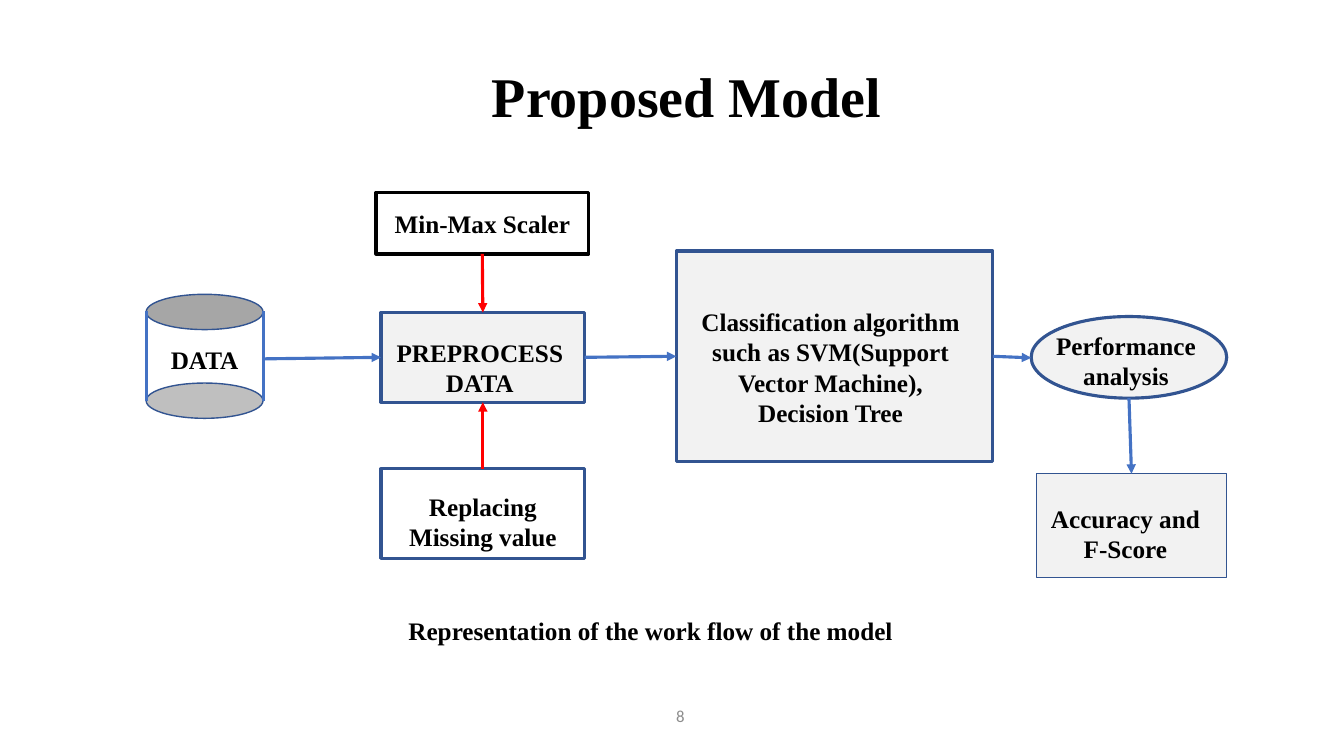
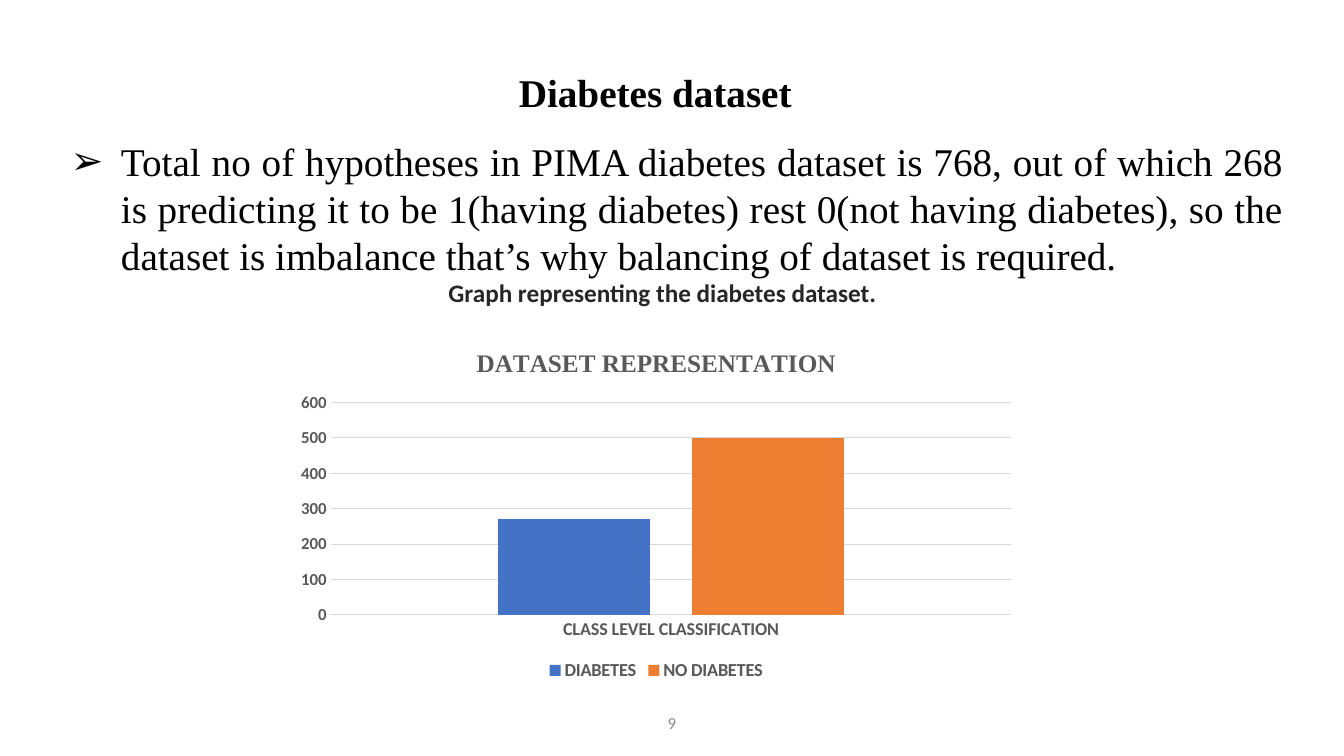
from lxml import etree
from pptx import Presentation
from pptx.chart.data import CategoryChartData
from pptx.dml.color import RGBColor
from pptx.enum.chart import XL_CHART_TYPE, XL_LEGEND_POSITION, XL_TICK_MARK
from pptx.enum.shapes import MSO_CONNECTOR, MSO_SHAPE
from pptx.enum.text import MSO_ANCHOR, MSO_AUTO_SIZE, PP_ALIGN
from pptx.oxml.ns import qn
from pptx.util import Inches, Pt

RECT, OVAL = MSO_SHAPE.RECTANGLE, MSO_SHAPE.OVAL
STRAIGHT = MSO_CONNECTOR.STRAIGHT
COLUMNS = XL_CHART_TYPE.COLUMN_CLUSTERED
LEGEND_BOTTOM = XL_LEGEND_POSITION.BOTTOM
NO_TICK = XL_TICK_MARK.NONE
TOP, MIDDLE = MSO_ANCHOR.TOP, MSO_ANCHOR.MIDDLE
FIXED_SIZE = MSO_AUTO_SIZE.NONE
LEFT, CENTER, JUSTIFY = PP_ALIGN.LEFT, PP_ALIGN.CENTER, PP_ALIGN.JUSTIFY
SIDE_TOP, SIDE_LEFT, SIDE_BOTTOM, SIDE_RIGHT = range(4)
TITLE_ONLY, TITLE_AND_BODY = 5, 1

SERIF, SANS = "Times New Roman", "Calibri"
BLACK, WHITE, INK = "000000", "FFFFFF", "262626"
PALE, SILVER, STEEL = "F2F2F2", "BFBFBF", "A6A6A6"
NAVY, BLUE, RED, ORANGE = "325491", "4472C4", "FF0000", "ED7D31"
AXIS_TEXT, GRID_LINE, PAGE_GRAY = "595959", "D9D9D9", "8C8C8C"


def rgb(hex_code):
    return RGBColor.from_string(hex_code)


def cells(*counts):
    return [Inches(count / 10) for count in counts]


def set_font(font, size, color, bold=True, name=SERIF):
    font.name, font.size, font.bold = name, Pt(size), bold
    font.color.rgb = rgb(color)


def set_line(line, color, width):
    line.color.rgb = rgb(color)
    line.width = Pt(width)


class Deck:
    def __init__(self):
        self.prs = Presentation()
        self.prs.slide_width, self.prs.slide_height = cells(133.33, 75)
        self.slide = None

    def new_slide(self, layout, title, title_box, title_size):
        self.slide = self.prs.slides.add_slide(self.prs.slide_layouts[layout])
        self.fill_placeholder(self.slide.shapes.title, title, title_box,
                              MIDDLE, size=title_size)

    def fill_placeholder(self, holder, text, box, anchor, **style):
        holder.left, holder.top, holder.width, holder.height = cells(*box)
        holder.text_frame.auto_size = FIXED_SIZE
        self.set_text(holder.text_frame, text, anchor, **style)

    def set_text(self, frame, text, anchor=TOP, align=CENTER, size=18,
                 color=BLACK, bold=True, font=SERIF):
        frame.text = text
        frame.word_wrap = True
        frame.vertical_anchor = anchor
        for paragraph in frame.paragraphs:
            paragraph.alignment = align
            paragraph.space_before = Pt(0)
            set_font(paragraph.font, size, color, bold, font)

    def label(self, text, box, **style):
        holder = self.slide.shapes.add_textbox(*cells(*box))
        self.set_text(holder.text_frame, text, **style)

    def page_number(self, number, box):
        self.label(number, box, anchor=MIDDLE, size=12, color=PAGE_GRAY,
                   bold=False, font=SANS)

    def node(self, kind, box, fill=PALE, border=NAVY, width=2.25,
             text=None, insets=(1, 0, 1)):
        shape = self.slide.shapes.add_shape(kind, *cells(*box))
        shape.shadow.inherit = False
        shape.fill.solid()
        shape.fill.fore_color.rgb = rgb(fill)
        set_line(shape.line, border, width)
        if text:
            frame = shape.text_frame
            self.set_text(frame, text, MIDDLE)
            frame.margin_left, frame.margin_top, frame.margin_right = cells(*insets)
            frame.margin_bottom = 0
        return shape

    def line(self, start=(0, 0), end=(0, 0), color=BLUE, start_joint=None,
             end_joint=None, arrow=True):
        link = self.slide.shapes.add_connector(STRAIGHT, *cells(*start, *end))
        if start_joint:
            link.begin_connect(*start_joint)
        if end_joint:
            link.end_connect(*end_joint)
        set_line(link.line, color, 2.25)
        if arrow:
            outline = link._element.spPr.find(qn("a:ln"))
            etree.SubElement(outline, qn("a:tailEnd"), type="triangle")
        etree.SubElement(link._element.spPr, qn("a:effectLst"))

    def bullets(self, text, box, mark, indent, **style):
        body = self.slide.placeholders[1]
        self.fill_placeholder(body, text, box, TOP, **style)
        for paragraph in body.text_frame.paragraphs:
            props = paragraph._p.get_or_add_pPr()
            hang = cells(indent)[0]
            props.set("marL", str(hang))
            props.set("indent", str(-hang))
            etree.SubElement(props, qn("a:buFont"), typeface="Arial")
            etree.SubElement(props, qn("a:buChar"), char=mark)
            props.append(props.find(qn("a:defRPr")))

    def column_chart(self, title, category, series, box):
        data = CategoryChartData()
        data.categories = [category]
        for name, value, _ in series:
            data.add_series(name, [value])
        chart = self.slide.shapes.add_chart(COLUMNS, *cells(*box), data).chart
        set_font(chart.font, 10, BLACK, False, SANS)

        chart.has_title = True
        heading = chart.chart_title.text_frame
        heading.text = title
        set_font(heading.paragraphs[0].font, 18, AXIS_TEXT)
        chart.has_legend = True
        chart.legend.position = LEGEND_BOTTOM
        chart.legend.include_in_layout = False
        set_font(chart.legend.font, 13.1, AXIS_TEXT, name=SANS)

        classes, counts = chart.category_axis, chart.value_axis
        for axis, size in ((classes, 12.9), (counts, 12)):
            axis.major_tick_mark = axis.minor_tick_mark = NO_TICK
            set_font(axis.tick_labels.font, size, AXIS_TEXT, name=SANS)
        set_line(classes.format.line, GRID_LINE, 0.75)
        counts.format.line.fill.background()
        set_line(counts.major_gridlines.format.line, GRID_LINE, 0.75)
        counts.minimum_scale, counts.maximum_scale, counts.major_unit = 0, 600, 100

        plot = chart.plots[0]
        plot.gap_width, plot.overlap, plot.vary_by_categories = 219, -27, False
        for bars, (_, _, color) in zip(plot.series, series):
            bars.format.fill.solid()
            bars.format.fill.fore_color.rgb = rgb(color)


def proposed_model(deck):
    deck.new_slide(TITLE_ONLY, "Proposed Model", (28, 5.6, 80.2, 7.7), 40)
    deck.page_number("8", (52.5, 69, 30, 4))

    scaler = deck.node(RECT, (37.3, 19.1, 21.1, 6.1), WHITE, BLACK,
                       text="Min-Max Scaler")
    missing = deck.node(RECT, (37.8, 46.5, 20.2, 8.9), WHITE,
                        text="Replacing Missing value", insets=(1, 1.6, 1))
    preprocess = deck.node(RECT, (37.8, 31, 20.2, 8.9),
                           text="PREPROCESS DATA", insets=(0.7, 2, 1.3))
    classifier = deck.node(
        RECT, (67.1, 24.9, 31.4, 20.9), insets=(2, 2.1, 2.8),
        text="Classification algorithm such as SVM(Support Vector Machine),\nDecision Tree")
    deck.node(OVAL, (102.3, 31.4, 19.4, 8.1))
    deck.label("Performance analysis", (103.5, 32.3, 16.4, 6))
    scores = deck.node(RECT, (102.8, 47, 18.9, 10.3), width=1,
                       text="Accuracy and F-Score", insets=(1.1, 1.5, 2.3))

    for top, fill in ((38, SILVER), (29.2, STEEL)):
        deck.node(OVAL, (14.5, top, 11.6, 3.5), fill, width=1)
    for edge in (14.5, 26.1):
        deck.line((edge, 30.9), (edge, 39.8), arrow=False)
    deck.label("DATA", (15.5, 33.7, 9.6, 3.5))

    deck.line((26.3, 35.6), end_joint=(preprocess, SIDE_LEFT))
    deck.line(color=RED, start_joint=(scaler, SIDE_BOTTOM),
              end_joint=(preprocess, SIDE_TOP))
    deck.line(color=RED, start_joint=(missing, SIDE_TOP),
              end_joint=(preprocess, SIDE_BOTTOM))
    deck.line(start_joint=(preprocess, SIDE_RIGHT),
              end_joint=(classifier, SIDE_LEFT))
    deck.line(end=(102.3, 35.5), start_joint=(classifier, SIDE_RIGHT))
    deck.line((112, 39.5), end_joint=(scores, SIDE_TOP))

    deck.label("Representation of the work flow of the model", (33.8, 60.6, 61.5, 4))


def diabetes_dataset(deck):
    deck.new_slide(TITLE_AND_BODY, "Diabetes dataset", (31, 4.9, 68, 8.4), 28)
    deck.page_number("9", (0, 69.7, 133.3, 4))
    deck.bullets(
        "Total no of hypotheses in PIMA diabetes dataset is 768, out of which 268 "
        "is predicting it to be 1(having diabetes) rest 0(not having diabetes), so "
        "the dataset is imbalance that’s why balancing of dataset is required.",
        (6, 13.1, 122.3, 15.1), "➢", 5, align=JUSTIFY, size=28, bold=False)
    deck.label("Graph representing the diabetes dataset.", (43.5, 27, 47.2, 4),
               align=LEFT, color=INK, font=SANS)
    deck.column_chart(
        "DATASET REPRESENTATION", "CLASS LEVEL CLASSIFICATION",
        (("DIABETES", 270, BLUE), ("NO DIABETES", 500, ORANGE)),
        (28.4, 32.8, 73.4, 35.2))


def main():
    deck = Deck()
    proposed_model(deck)
    diabetes_dataset(deck)
    deck.prs.save("out.pptx")


if __name__ == "__main__":
    main()
